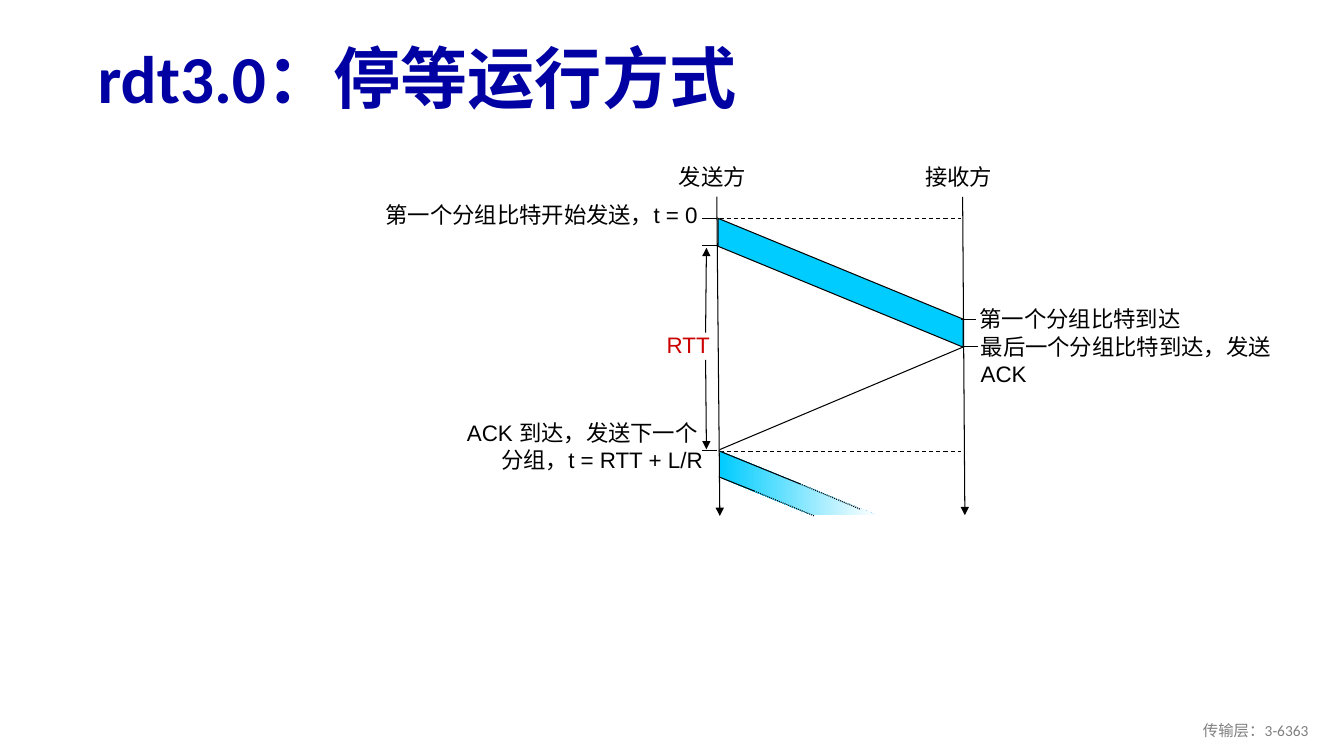
from lxml.etree import SubElement
from pptx import Presentation
from pptx.dml.color import RGBColor
from pptx.enum.dml import MSO_LINE as Dash
from pptx.enum.shapes import MSO_CONNECTOR as Connector, MSO_SHAPE as Preset
from pptx.enum.text import MSO_ANCHOR as Anchor, MSO_AUTO_SIZE as AutoSize, PP_ALIGN as Align
from pptx.oxml.ns import qn
from pptx.util import Pt

NAVY = RGBColor(0x00, 0x00, 0xA3)
BLACK = RGBColor(0x00, 0x00, 0x00)
WHITE = RGBColor(0xFF, 0xFF, 0xFF)
CYAN = RGBColor(0x00, 0xCC, 0xFF)
RED = RGBColor(0xCC, 0x00, 0x00)
GRAY = RGBColor(0x80, 0x80, 0x80)


class Diagram:
    body_font = "Arial"
    heading_font = "Calibri"
    body_size = 16
    line_width = 0.75

    def __init__(self, slide):
        self.slide = slide
        self.shapes = slide.shapes

    def add_text(self, paragraph, text, font, size, color, bold=False):
        run = paragraph.add_run()
        run.text = text
        run.font.name = font
        run.font.size = Pt(size)
        run.font.bold = bold
        run.font.color.rgb = color

    def title(self, text, left, top, width, height):
        heading = self.shapes.title
        heading.left, heading.top = Pt(left), Pt(top)
        heading.width, heading.height = Pt(width), Pt(height)
        frame = heading.text_frame
        frame.auto_size = AutoSize.NONE
        frame.vertical_anchor = Anchor.MIDDLE
        paragraph = frame.paragraphs[0]
        paragraph.alignment = Align.LEFT
        paragraph.line_spacing = 0.9
        self.add_text(paragraph, text, self.heading_font, 48, NAVY, True)

    def label(self, lines, left, top, width, height, align=Align.RIGHT, color=BLACK,
              filled=False, font=body_font, size=body_size, anchor=Anchor.TOP):
        box = Pt(left), Pt(top), Pt(width), Pt(height)
        if filled:
            shape = self.shapes.add_shape(Preset.RECTANGLE, *box)
            shape.shadow.inherit = False
            shape.fill.solid()
            shape.fill.fore_color.rgb = WHITE
            shape.line.fill.background()
        else:
            shape = self.shapes.add_textbox(*box)
        frame = shape.text_frame
        frame.word_wrap = True
        frame.vertical_anchor = anchor
        for index, text in enumerate(lines):
            paragraph = frame.add_paragraph() if index else frame.paragraphs[0]
            paragraph.alignment = align
            self.add_text(paragraph, text, font, size, color)

    def line(self, start, end, dash=None, arrow=False):
        connector = self.shapes.add_connector(
            Connector.STRAIGHT, *(Pt(value) for value in (*start, *end)))
        connector.line.color.rgb = BLACK
        connector.line.width = Pt(self.line_width)
        if dash is not None:
            connector.line.dash_style = dash
        properties = connector.element.spPr
        if arrow:
            SubElement(properties.find(qn("a:ln")), qn("a:tailEnd"), type="triangle")
        SubElement(properties, qn("a:effectLst"))

    def band(self, points, fading=False):
        builder = self.shapes.build_freeform(*points[0], scale=Pt(1))
        builder.add_line_segments(points[1:], close=True)
        shape = builder.convert_to_shape()
        shape.shadow.inherit = False
        if fading:
            shape.fill.gradient()
            shape.fill.gradient_angle = 0
            for stop, color in zip(shape.fill.gradient_stops, (CYAN, WHITE)):
                stop.color.rgb = color
            shape.line.fill.background()
        else:
            shape.fill.solid()
            shape.fill.fore_color.rgb = CYAN
            shape.line.color.rgb = BLACK
            shape.line.width = Pt(self.line_width)


def main():
    deck = Presentation()
    deck.slide_width, deck.slide_height = Pt(960), Pt(540)
    diagram = Diagram(deck.slides.add_slide(deck.slide_layouts[5]))
    diagram.title("rdt3.0：停等运行方式", 62.6, 23, 874, 70.6)

    sent, last_sent = 156.4, 175.7
    arrived, last_arrived = 228.4, 247.7
    ack_back, next_sent = 321.6, 322.4

    diagram.label(["第一个分组比特开始发送，t = 0"], 251.3, 140.4, 254.2, 28, filled=True)
    diagram.line((512, 140), (514.2, 368.6), arrow=True)
    diagram.line((687.6, 140.4), (689.2, 368), arrow=True)
    diagram.label(["发送方"], 470, 113, 69.8, 27.4, filled=True)
    diagram.label(["接收方"], 641.5, 113, 74.2, 27.4, filled=True)

    for level in (sent, next_sent):
        diagram.line((514, level), (686.6, level), Dash.DASH)
    diagram.line((514, 321.2), (688.4, last_arrived))
    diagram.band([(512.6, sent), (687.8, arrived), (688.4, last_arrived), (512.6, last_sent)])
    for level in (sent, last_sent, ack_back):
        diagram.line((512, level), (501.4, level))

    diagram.label(["RTT"], 447, 233.3, 67, 26.6, color=RED)
    diagram.line((504, 257), (504.6, 321), arrow=True)
    diagram.line((504, 237.6), (504.6, 177), arrow=True)

    diagram.line((697, arrived), (686.4, arrived))
    diagram.label(["第一个分组比特到达"], 692.6, 214.6, 190.8, 28, Align.LEFT)
    diagram.line((688.4, last_arrived), (698.4, last_arrived))
    diagram.label(["最后一个分组比特到达，发送 ACK"], 693.4, 234.7, 245.5, 44.6, Align.LEFT)

    diagram.label(["ACK 到达，发送下一个 ", "分组，t = RTT + L/R"], 297.4, 296, 211.7, 49.7)
    diagram.band([(514, next_sent), (625.6, 368), (580.4, 368), (514, 341.3)], fading=True)
    for start, middle, end in (
        ((513.4, 322), (571.4, 345.6), (614.2, 363.6)),
        ((513.4, 340.6), (538.6, 350.7), (581.8, 368.6)),
    ):
        diagram.line(start, middle)
        diagram.line(middle, end, Dash.ROUND_DOT)

    diagram.label(["传输层：3-6363"], 725.8, 507.6, 216, 28.8, color=GRAY,
                  font=Diagram.heading_font, size=11, anchor=Anchor.MIDDLE)
    deck.save("out.pptx")


if __name__ == "__main__":
    main()
